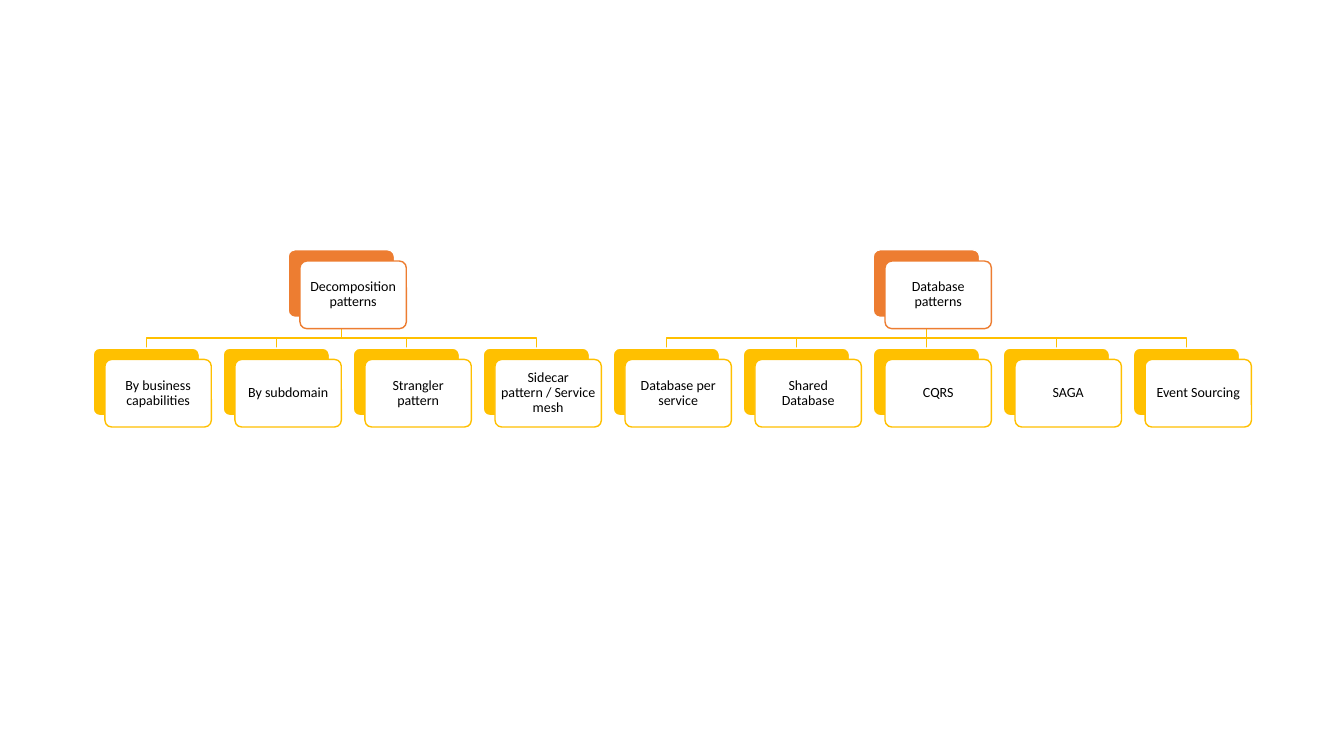
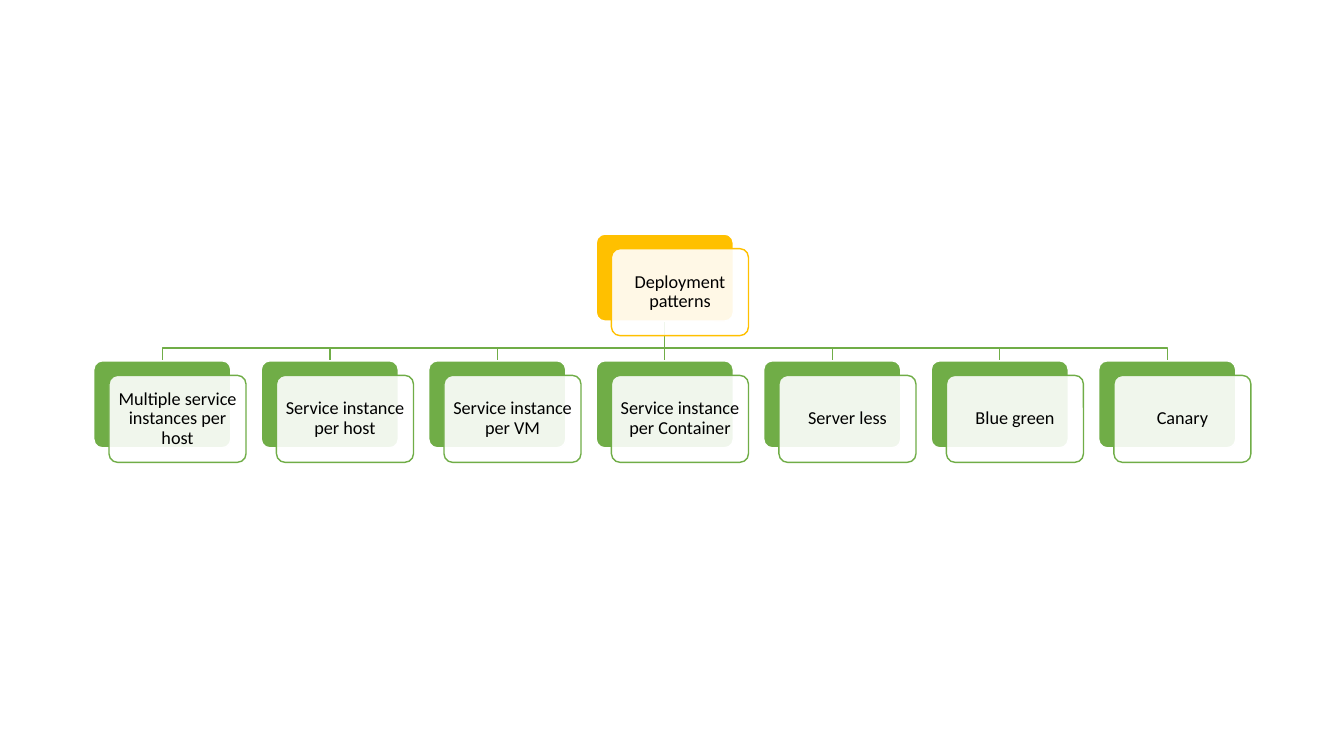
from lxml.etree import SubElement
from pptx import Presentation
from pptx.dml.color import RGBColor
from pptx.enum.shapes import MSO_CONNECTOR, MSO_SHAPE
from pptx.enum.text import MSO_ANCHOR, PP_ALIGN
from pptx.oxml.ns import qn
from pptx.util import Pt

ORANGE, YELLOW, GREEN = "ED7D31", "FFC000", "70AD47"
WHITE, BLACK = "FFFFFF", "000000"


def color(hex_code):
    return RGBColor.from_string(hex_code)


def write(frame, text, size, font="Calibri", ink=BLACK, inset=0):
    """Put one centred paragraph in the middle of a text frame."""
    frame.word_wrap = True
    frame.vertical_anchor = MSO_ANCHOR.MIDDLE
    frame.margin_left = frame.margin_right = Pt(inset)
    frame.margin_top = frame.margin_bottom = Pt(inset)
    paragraph = frame.paragraphs[0]
    paragraph.text = text
    paragraph.alignment = PP_ALIGN.CENTER
    paragraph.line_spacing = 0.9
    paragraph.font.name = font
    paragraph.font.size = Pt(size)
    paragraph.font.color.rgb = color(ink)


class Hierarchy:
    """Trees of two-layer cards; all distances follow from the card width."""

    def __init__(self, deck, left, top, card_width, size, opacity):
        self.shapes = deck.slides.add_slide(deck.slide_layouts[6]).shapes
        self.left, self.top = left, top
        self.width, self.height = card_width, 0.635 * card_width
        self.pitch = 1.222 * card_width
        self.shift_x, self.shift_y = 0.111 * card_width, 0.106 * card_width
        self.child_top = top + 1.456 * self.height
        self.bend = self.child_top - 0.093 * card_width
        self.size, self.opacity = size, opacity

    def column(self, index):
        return self.left + index * self.pitch

    def center(self, index):
        return self.column(index) + self.width / 2

    def link(self, parent, child, ink):
        """Run a line from a parent down to one child."""
        start, end = Pt(self.center(parent)), Pt(self.center(child))
        top, bend, bottom = (
            Pt(y) for y in (self.top + self.height, self.bend, self.child_top))
        if parent == child:
            line = self.shapes.add_connector(
                MSO_CONNECTOR.STRAIGHT, start, top, end, bottom)
            SubElement(line._element.spPr, qn("a:effectLst"))
        else:
            outline = self.shapes.build_freeform(start, top)
            outline.add_line_segments(
                [(start, bend), (end, bend), (end, bottom)], close=False)
            line = outline.convert_to_shape()
            line.fill.background()
            line.shadow.inherit = False
        line.line.color.rgb = color(ink)
        line.line.width = Pt(1)

    def plate(self, x, y, fill, border):
        """Draw one rounded layer of a card."""
        plate = self.shapes.add_shape(
            MSO_SHAPE.ROUNDED_RECTANGLE,
            Pt(x), Pt(y), Pt(self.width), Pt(self.height))
        plate.adjustments[0] = 0.1
        plate.shadow.inherit = False
        plate.fill.solid()
        plate.fill.fore_color.rgb = color(fill)
        plate.line.color.rgb = color(border)
        plate.line.width = Pt(1)
        return plate

    def card(self, text, index, y, accent):
        """Draw a coloured back and a white front that carries the text."""
        x = self.column(index)
        self.plate(x, y, accent, WHITE)
        front = self.plate(x + self.shift_x, y + self.shift_y, WHITE, accent)
        if self.opacity < 100:
            tint = front.fill._xPr.find(qn("a:solidFill"))[0]
            SubElement(tint, qn("a:alpha"), val=str(self.opacity * 1000))
        write(front.text_frame, text, self.size, inset=0.3 * self.size)

    def draw(self, trees, root_accent, child_accent):
        """Place the trees side by side, lines behind the cards."""
        placed, first = [], 0
        for root, children in trees:
            placed.append((root, first + (len(children) - 1) / 2,
                           list(enumerate(children, first))))
            first += len(children)
        for _, parent, children in placed:
            for index, _ in children:
                self.link(parent, index, child_accent)
        for root, parent, children in placed:
            self.card(root, parent, self.top, root_accent)
            for index, text in children:
                self.card(text, index, self.child_top, child_accent)


def main():
    deck = Presentation()
    deck.slide_width, deck.slide_height = Pt(960), Pt(540)

    # Decomposition and database patterns
    design = Hierarchy(deck, left=66.5, top=178.4, card_width=76,
                       size=10, opacity=100)
    design.draw([
        ("Decomposition patterns",
         ["By business capabilities", "By subdomain", "Strangler pattern",
          "Sidecar pattern / Service mesh"]),
        ("Database patterns",
         ["Database per service", "Shared Database", "CQRS", "SAGA",
          "Event Sourcing"]),
    ], ORANGE, YELLOW)

    # Deployment patterns
    deployment = Hierarchy(deck, left=67, top=167.2, card_width=97.9,
                           size=13, opacity=90)
    deployment.draw([
        ("Deployment patterns",
         ["Multiple service instances per host", "Service instance per host",
          "Service instance per VM", "Service instance per Container",
          "Server less", "Blue green", "Canary"]),
    ], YELLOW, GREEN)

    deck.save("out.pptx")


if __name__ == "__main__":
    main()
